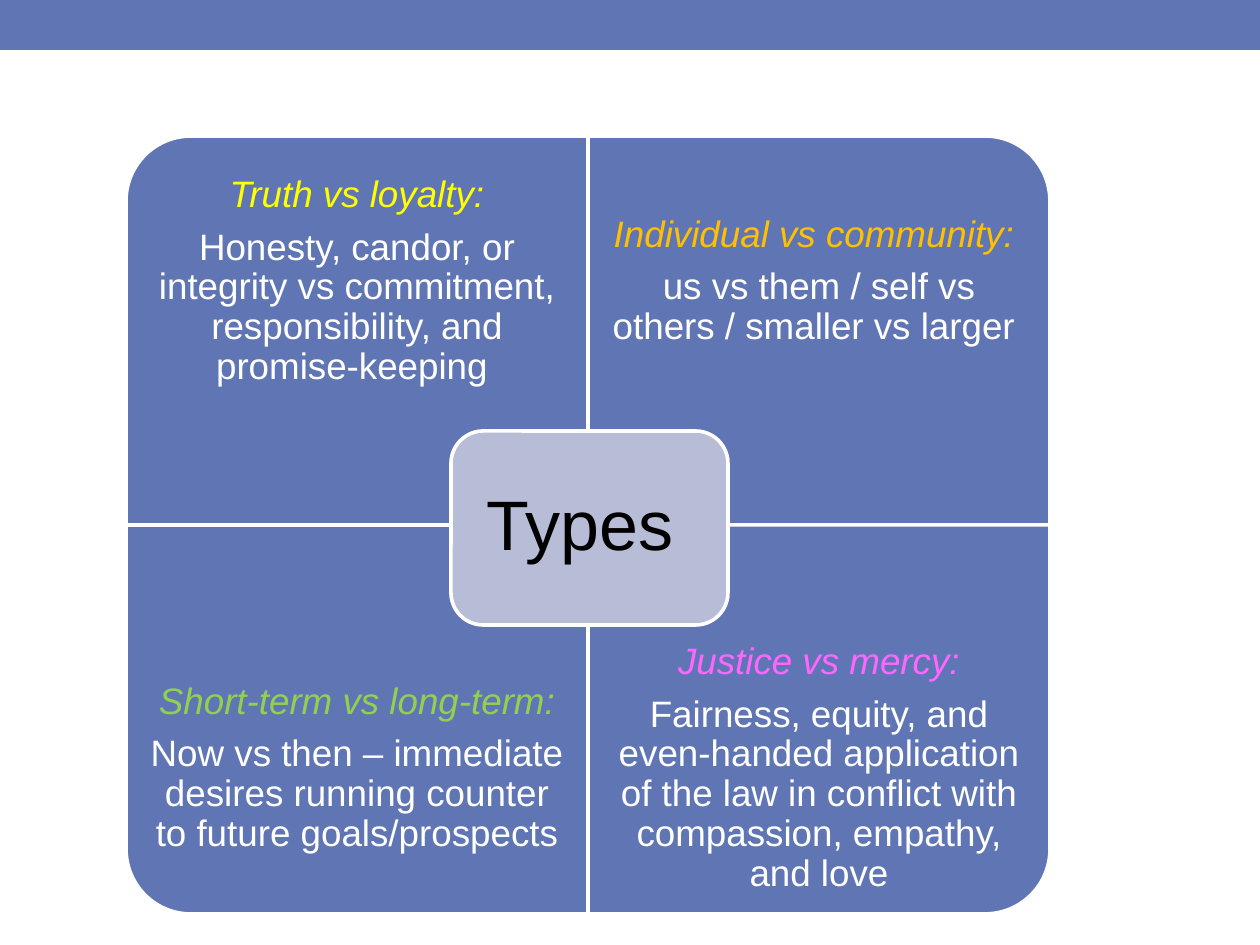
from pptx import Presentation
from pptx import util as u
from pptx.dml.color import RGBColor
from pptx.enum import shapes, text

PX = 914400 / 126
BLUE, PALE, WHITE, BLACK = "6076B4", "B7BDD6", "FFFFFF", "000000"


def add_box(s, kind, box, fill, line=None):
    """Add a flat preset shape; box is left, top, width, height in px."""
    sp = s.shapes.add_shape(kind, *[u.Emu(round(v * PX)) for v in box])
    sp.shadow.inherit = False
    sp.fill.solid()
    sp.fill.fore_color.rgb = RGBColor.from_string(fill)
    if line:
        sp.line.color.rgb = RGBColor.from_string(line)
        sp.line.width = u.Pt(2.08)
    else:
        sp.line.fill.background()
    return sp


def add_label(s, box, inset, size, paragraphs):
    """Add a centred text box; paragraphs are (words, colour, italic)."""
    sp = s.shapes.add_textbox(*[u.Emu(round(v * PX)) for v in box])
    tf = sp.text_frame
    tf.word_wrap = True
    tf.vertical_anchor = text.MSO_ANCHOR.MIDDLE
    tf.margin_left = tf.margin_right = u.Emu(round(inset * PX))
    tf.margin_top = tf.margin_bottom = u.Emu(round(inset * PX))
    for i, (words, colour, italic) in enumerate(paragraphs):
        p = tf.add_paragraph() if i else tf.paragraphs[0]
        p.alignment = text.PP_ALIGN.CENTER
        p.line_spacing = 0.9
        p.space_after = u.Pt(size * 0.35)
        r = p.add_run()
        r.text = words
        r.font.name = "Arial"
        r.font.size = u.Pt(size)
        r.font.italic = italic
        r.font.color.rgb = RGBColor.from_string(colour)


prs = Presentation()
prs.slide_width, prs.slide_height = u.Inches(10), u.Inches(7.5)
s = prs.slides.add_slide(prs.slide_layouts[6])

# Top band
add_box(s, shapes.MSO_SHAPE.RECTANGLE, (0, 0, 1260, 50), BLUE)

# Four quadrants, each with its round corner turned outwards
LEFT, TOP, WIDTH, HEIGHT, TEXT_HEIGHT = 126, 136, 462, 389, 291
quadrants = [
    (0, 0, 270, "FFFF00", "Truth vs loyalty:",
     "Honesty, candor, or integrity vs commitment, responsibility, and promise-keeping "),
    (1, 0, 0, "FFC000", "Individual vs community: ",
     "us vs them / self vs others / smaller vs larger "),
    (0, 1, 180, "92D050", "Short-term vs long-term:",
     "Now vs then – immediate desires running counter to future goals/prospects"),
    (1, 1, 90, "FF66FF", "Justice vs mercy:",
     "Fairness, equity, and even-handed application of the law in conflict with "
     "compassion, empathy, and love"),
]
for col, row, angle, colour, heading, body in quadrants:
    x, y = LEFT + col * WIDTH, TOP + row * HEIGHT
    # A quarter turn swaps width and height about the centre
    w, h = (HEIGHT, WIDTH) if angle % 180 else (WIDTH, HEIGHT)
    box = (x + (WIDTH - w) / 2, y + (HEIGHT - h) / 2, w, h)
    sp = add_box(s, shapes.MSO_SHAPE.ROUND_1_RECTANGLE, box, BLUE, WHITE)
    sp.rotation = angle
    text_top = y + row * (HEIGHT - TEXT_HEIGHT)
    add_label(s, (x, text_top, WIDTH, TEXT_HEIGHT), 20, 21,
              [(heading, colour, True), (body, WHITE, False)])

# Centre
add_box(s, shapes.MSO_SHAPE.ROUNDED_RECTANGLE, (451, 431, 277, 194), PALE, WHITE)
add_label(s, (461, 440, 258, 175), 21, 40, [("Types ", BLACK, False)])

prs.save("out.pptx")
